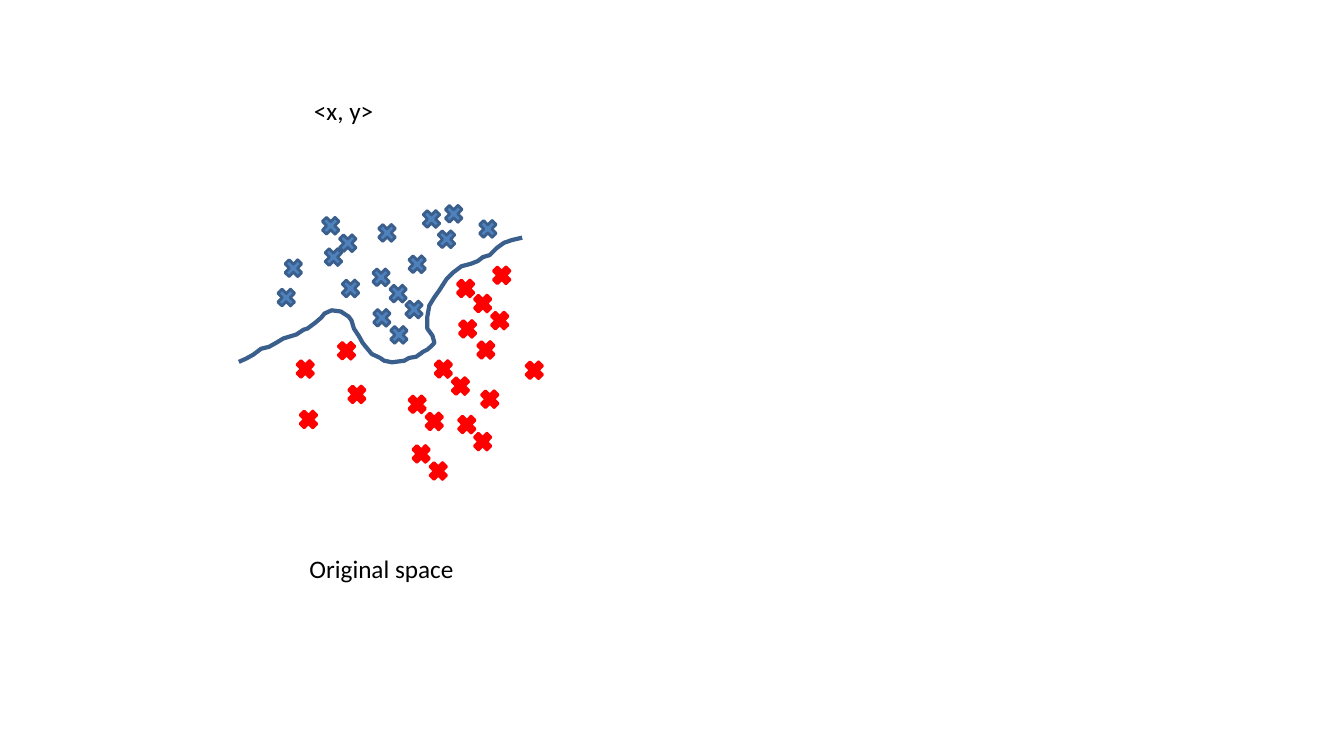
from dataclasses import dataclass

from pptx import Presentation
from pptx.dml.color import RGBColor
from pptx.enum.shapes import MSO_SHAPE
from pptx.util import Cm, Pt

CROSS = MSO_SHAPE.MATH_MULTIPLY
BLANK_LAYOUT = 6


@dataclass(frozen=True)
class Theme:
    blue: RGBColor = RGBColor(0x4F, 0x81, 0xBD)
    dark_blue: RGBColor = RGBColor(0x3A, 0x5F, 0x8C)
    red: RGBColor = RGBColor(0xFF, 0x00, 0x00)
    text: RGBColor = RGBColor(0x00, 0x00, 0x00)
    font: str = "Calibri"
    text_size: Pt = Pt(18)
    cross_line: Pt = Pt(2)
    boundary_line: Pt = Pt(3)


theme = Theme()

presentation = Presentation()
presentation.slide_width = Cm(33.87)
presentation.slide_height = Cm(19.05)
slide = presentation.slides.add_slide(presentation.slide_layouts[BLANK_LAYOUT])

blue_points = [
    (8.03, 5.38), (6.91, 7.19), (10.57, 5.21), (9.3, 6.68), (9.73, 7.09),
    (10.13, 7.49), (9.32, 7.7), (10.21, 6.35), (8.1, 6.17), (9.45, 5.56),
    (7.09, 6.45), (8.46, 5.82), (9.75, 8.13), (8.53, 6.96), (11.13, 5.08),
    (10.95, 5.72), (11.99, 5.46),
]
red_points = [
    (8.69, 9.63), (8.43, 8.53), (11.46, 10.39), (11.43, 6.96), (11.86, 7.34),
    (12.29, 7.77), (11.48, 7.98), (12.34, 6.63), (10.31, 11.13), (10.21, 9.88),
    (7.47, 10.26), (7.39, 8.99), (11.86, 10.82), (10.74, 11.56), (10.64, 10.31),
    (13.16, 9.02), (12.04, 9.75), (11.94, 8.51), (10.87, 8.99), (11.3, 9.42),
]
point_classes = [
    (blue_points, theme.blue, theme.dark_blue),
    (red_points, theme.red, theme.red),
]
for points, fill_color, line_color in point_classes:
    for left, top in points:
        cross = slide.shapes.add_shape(CROSS, Cm(left), Cm(top), Cm(0.61), Cm(0.62))
        cross.adjustments[0] = 0.235
        cross.shadow.inherit = False
        cross.fill.solid()
        cross.fill.fore_color.rgb = fill_color
        cross.line.color.rgb = line_color
        cross.line.width = theme.cross_line

boundary_points = [
    (6.02, 9.12), (6.2, 9.04), (6.38, 8.94), (6.58, 8.79), (6.78, 8.74),
    (6.96, 8.64), (7.14, 8.53), (7.47, 8.43), (7.65, 8.31), (7.75, 8.28),
    (7.95, 8.13), (8.1, 8), (8.18, 7.9), (8.36, 7.82), (8.59, 7.85),
    (8.79, 7.98), (8.86, 8.08), (8.92, 8.28), (9.04, 8.46), (9.14, 8.64),
    (9.22, 8.74), (9.37, 8.92), (9.58, 9.02), (9.68, 9.09), (9.88, 9.13),
    (10.19, 9.09), (10.31, 9.02), (10.49, 8.99), (10.67, 8.86), (10.77, 8.81),
    (10.85, 8.74), (10.95, 8.64), (10.9, 8.46), (10.77, 8.28), (10.77, 7.98),
    (10.82, 7.7), (10.95, 7.49), (11.07, 7.32), (11.25, 7.04), (11.43, 6.86),
    (11.63, 6.71), (11.86, 6.65), (12.04, 6.58), (12.17, 6.48), (12.34, 6.43),
    (12.52, 6.25), (12.7, 6.12), (12.9, 6.05), (13.16, 5.99),
]
start, *line_ends = [(Cm(x), Cm(y)) for x, y in boundary_points]
builder = slide.shapes.build_freeform(*start)
builder.add_line_segments(line_ends, close=False)
boundary = builder.convert_to_shape()
boundary.shadow.inherit = False
boundary.fill.background()
boundary.line.color.rgb = theme.dark_blue
boundary.line.width = theme.boundary_line

labels = [
    ("Original space", 7.55, 13.82, 5.05),
    ("<x, y>", 7.66, 2.29, 2.72),
]
for text, left, top, width in labels:
    label = slide.shapes.add_textbox(Cm(left), Cm(top), Cm(width), Cm(1.02))
    label.text_frame.word_wrap = True
    label.text_frame.text = text
    font = label.text_frame.paragraphs[0].runs[0].font
    font.name = theme.font
    font.size = theme.text_size
    font.color.rgb = theme.text

presentation.save("out.pptx")
